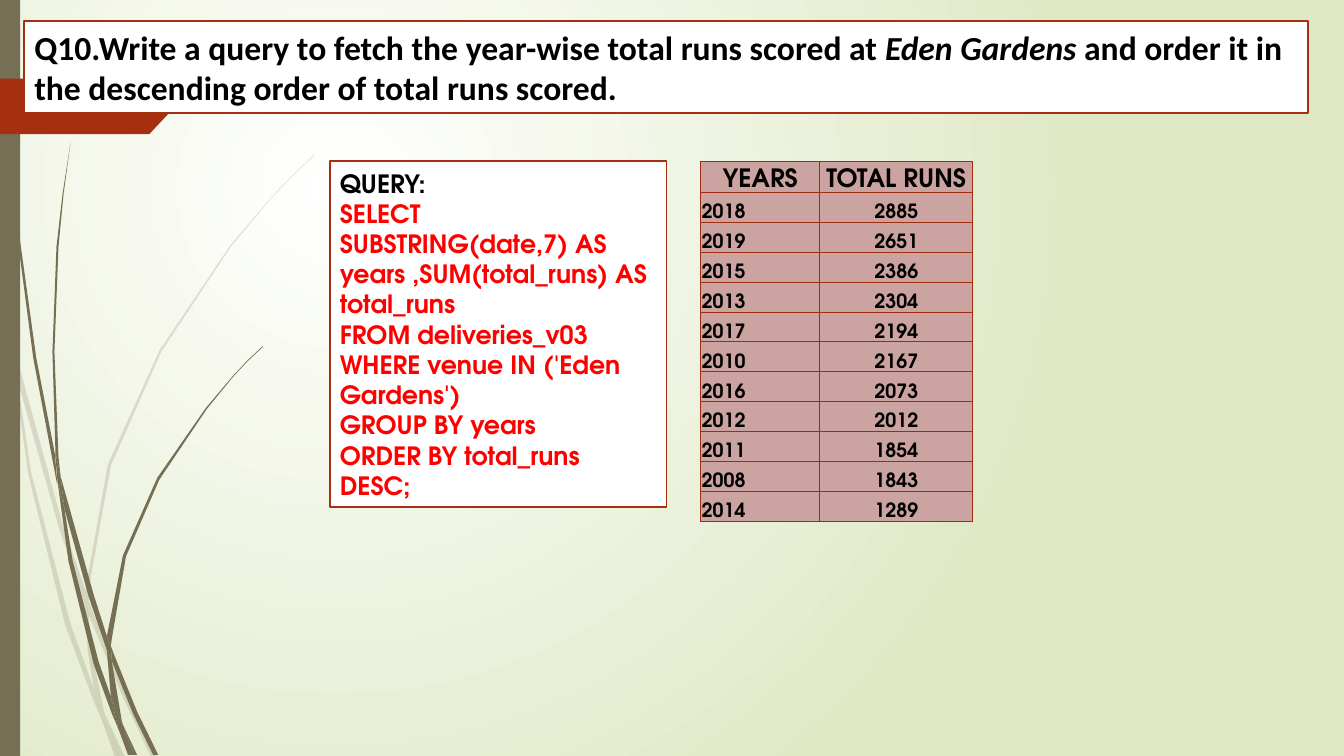
from dataclasses import dataclass

from pptx import Presentation
from pptx.dml.color import RGBColor as Rgb
from pptx.enum.shapes import MSO_SHAPE as Preset
from pptx.enum.text import MSO_ANCHOR as Anchor, MSO_AUTO_SIZE as AutoSize, PP_ALIGN as Align
from pptx.oxml import parse_xml
from pptx.oxml.ns import nsdecls, qn
from pptx.util import Inches, Pt


@dataclass(frozen=True)
class Theme:
    olive: Rgb = Rgb.from_string("766F54")
    rust: Rgb = Rgb.from_string("A53010")
    border: str = "9E2E0F"
    cell: Rgb = Rgb.from_string("CBA3A0")
    white: Rgb = Rgb.from_string("FFFFFF")
    lime: Rgb = Rgb.from_string("DFE8C4")
    black: Rgb = Rgb.from_string("000000")
    red: Rgb = Rgb.from_string("FF0000")
    title_font: str = "Calibri"
    body_font: str = "TeX Gyre Adventor"
    title_size: Pt = Pt(24)
    body_size: Pt = Pt(18)
    cell_size: Pt = Pt(14)


theme = Theme()
GRID = Inches(1)  # every position is in columns and rows of this grid
COLUMNS, ROWS = 13.33, 7.5


def paint(shape, color, line=None):
    shape.fill.solid()
    shape.fill.fore_color.rgb = color
    if line is None:
        shape.line.fill.background()
    else:
        shape.line.color.rgb = line
        shape.line.width = Pt(1.25)


def style(runs, font, size, color):
    for run in runs:
        run.font.name, run.font.size, run.font.bold = font, size, True
        run.font.color.rgb = color


deck = Presentation()
deck.slide_width, deck.slide_height = int(COLUMNS * GRID), int(ROWS * GRID)
page = deck.slides.add_slide(deck.slide_layouts[1])
title, query = page.placeholders

# Background: glow around the upper left quarter
glow = page.background.fill
glow.gradient()
for stop, color in zip(glow.gradient_stops, (theme.white, theme.lime)):
    stop.color.rgb = color
gradient = page.element.find(".//" + qn("a:gradFill"))
gradient.remove(gradient.find(qn("a:lin")))
gradient.append(parse_xml(
    f'<a:path {nsdecls("a")} path="circle">'
    '<a:fillToRect l="50000" t="50000" r="100000" b="100000"/></a:path>'))

# Grass: each blade is made of slivers, given by their corners
pale_grass = [
    [(.11, 3.5), (.09, 3.22), (0, 2.82), (0, 2.99), (.1, 3.44)],
    [(.58, 5.22), (.84, 5.99), (.85, 5.86), (.62, 5.2), (.14, 3.45), (.17, 3.76)],
    [(.92, 6.07), (.88, 5.96), (.88, 6.1), (1.23, 6.94), (1.5, 7.51), (1.55, 7.51),
     (1.27, 6.92)],
    [(1.19, 7.51), (1.24, 7.51), (1.05, 7.11)],
    [(.93, 6.83), (.7, 6.19), (.31, 4.69), (.17, 3.76), (.11, 3.5), (.28, 4.7),
     (.65, 6.21), (.92, 6.93), (1.01, 7.14), (.99, 7.07)],
    [(.84, 5.99), (.87, 6.46), (.93, 6.83), (.96, 6.92), (1.05, 7.11), (1.03, 7.06),
     (.91, 6.46), (.88, 6.1), (.88, 6.08)],
    [(.88, 5.84), (1.1, 4.62), (1.6, 3.49), (2.29, 2.45), (2.68, 1.98), (2.9, 1.75),
     (3.12, 1.54), (3.12, 1.53), (2.89, 1.75), (2.68, 1.97), (2.28, 2.44),
     (1.58, 3.48), (1.07, 4.61), (.85, 5.84), (.85, 5.86), (.88, 5.96)],
    [(1.01, 7.14), (1.14, 7.51), (1.19, 7.51)],
    [(.88, 6.08), (.88, 6.1), (.88, 5.96), (.85, 5.86), (.84, 5.99)],
    [(.96, 6.92), (.93, 6.83), (.99, 7.07), (1.01, 7.14), (1.19, 7.51), (1.05, 7.11)],
]
dark_grass = [
    [(.07, 1.1), (.17, 2.33), (.33, 3.55), (.56, 4.77), (.57, 4.81), (.55, 4.57),
     (.55, 4.53), (.36, 3.55), (.19, 2.32), (.08, 1.09), (.05, .48), (.04, 0),
     (.03, 0), (.04, .48)],
    [(.88, 5.92), (1.06, 6.45), (1.06, 6.31), (.93, 5.9), (.6, 4.72), (.64, 5.05)],
    [(1.13, 6.49), (1.1, 6.41), (1.11, 6.56), (1.32, 7.08), (1.52, 7.49), (1.57, 7.49),
     (1.36, 7.06)],
    [(1.1, 6.91), (.98, 6.57), (.72, 5.56), (.64, 5.05), (.57, 4.77), (.68, 5.57),
     (.93, 6.59), (1.11, 7.08), (1.17, 7.22), (1.16, 7.17)],
    [(.6, 4.72), (.58, 4.53), (.54, 3.49), (.58, 2.45), (.63, 1.93), (.7, 1.41),
     (.62, 1.93), (.56, 2.45), (.52, 3.49), (.55, 4.49)],
    [(1.33, 7.49), (1.36, 7.49), (1.22, 7.19)],
    [(.57, 4.77), (.64, 5.05), (.6, 4.72), (.55, 4.49), (.55, 4.53)],
    [(1.11, 6.33), (1.25, 5.52), (1.58, 4.76), (2.05, 4.06), (2.31, 3.74), (2.45, 3.59),
     (2.61, 3.44), (2.6, 3.44), (2.45, 3.58), (2.31, 3.73), (2.04, 4.05),
     (1.56, 4.74), (1.22, 5.51), (1.06, 6.31), (1.1, 6.41)],
    [(1.17, 7.22), (1.27, 7.49), (1.31, 7.49)],
    [(1.06, 6.45), (1.1, 6.91), (1.16, 7.06), (1.22, 7.19), (1.21, 7.16), (1.11, 6.56),
     (1.09, 6.51)],
    [(1.06, 6.45), (1.09, 6.51), (1.11, 6.56), (1.1, 6.41), (1.06, 6.31)],
    [(1.16, 7.06), (1.1, 6.91), (1.16, 7.17), (1.17, 7.22), (1.3, 7.49), (1.33, 7.49),
     (1.22, 7.19)],
]
for slivers, opacity in ((pale_grass, 20), (dark_grass, 100)):
    for sliver in slivers:
        corners = [(column * GRID, row * GRID) for column, row in sliver]
        builder = page.shapes.build_freeform(*corners[0])
        builder.add_line_segments(corners[1:], close=True)
        blade = builder.convert_to_shape()
        blade.shadow.inherit = False
        paint(blade, theme.olive)
        if opacity < 100:
            blade.element.spPr.find(".//" + qn("a:srgbClr")).append(
                parse_xml(f'<a:alpha {nsdecls("a")} val="{opacity * 1000}"/>'))

# Side bar and arrow flag
for preset, color, top, width, height in (
        (Preset.RECTANGLE, theme.olive, 0, .2, ROWS),
        (Preset.PENTAGON, theme.rust, .78, 1.74, .55)):
    band = page.shapes.add_shape(preset, 0, int(top * GRID), int(width * GRID), int(height * GRID))
    band.shadow.inherit = False
    paint(band, color)
band.adjustments[0] = .47

# Title and query boxes, brought in front of the decoration
for box, left, top, width, height in (
        (title, .24, .21, 12.73, .91), (query, 3.27, 1.6, 3.34, 3.43)):
    box.left, box.top, box.width, box.height = (
        int(length * GRID) for length in (left, top, width, height))
    box.element.getparent().append(box.element)
    paint(box, theme.white, theme.rust)
    box.text_frame.word_wrap = True
    box.text_frame.auto_size = AutoSize.NONE
    box.text_frame.vertical_anchor = Anchor.MIDDLE

heading = title.text_frame.paragraphs[0]
heading.alignment = Align.LEFT
for words in ("Q10.Write a query to fetch the year-wise total runs scored at ",
              "Eden Gardens ",
              "and order it in the descending order of total runs scored."):
    span = heading.add_run()
    span.text = words
    span.font.italic = words.startswith("Eden")
style(heading.runs, theme.title_font, theme.title_size, theme.black)

query.text_frame.text = """QUERY:
SELECT\vSUBSTRING(date,7) AS years ,SUM(total_runs) AS total_runs
FROM deliveries_v03
WHERE venue IN ('Eden Gardens')
GROUP BY years
ORDER BY total_runs DESC;"""
for number, para in enumerate(query.text_frame.paragraphs):
    para.space_before = Pt(0)
    settings = para._p.get_or_add_pPr()
    settings.set("marL", "0")
    settings.set("indent", "0")
    settings.append(parse_xml(f'<a:buNone {nsdecls("a")}/>'))
    para.font.size = theme.body_size
    style(para.runs, theme.body_font, theme.body_size, theme.red if number else theme.black)

# Table of runs by year
records = [("YEARS", "TOTAL RUNS"), (2018, 2885), (2019, 2651), (2015, 2386),
           (2013, 2304), (2017, 2194), (2010, 2167), (2016, 2073), (2012, 2012),
           (2011, 1854), (2008, 1843), (2014, 1289)]
table = page.shapes.add_table(
    len(records), 2, int(6.95 * GRID), int(1.6 * GRID), int(2.7 * GRID), int(3.56 * GRID)).table
table.first_row = table.horz_banding = False
table.rows[0].height = int(.31 * GRID)
for column, width in zip(table.columns, (1.18, 1.52)):
    column.width = int(width * GRID)
for row, record in enumerate(records):
    for column, value in enumerate(record):
        cell = table.cell(row, column)
        cell.text = str(value)
        cell.vertical_anchor = Anchor.BOTTOM
        cell.margin_left = cell.margin_right = cell.margin_top = Inches(.01)
        cell.margin_bottom = 0
        cell.fill.solid()
        cell.fill.fore_color.rgb = theme.cell
        para = cell.text_frame.paragraphs[0]
        para.alignment = Align.LEFT if row and not column else Align.CENTER
        style(para.runs, theme.body_font, theme.cell_size if row else theme.body_size, theme.black)
        for place, side in enumerate(("lnL", "lnR", "lnT", "lnB")):
            cell._tc.tcPr.insert(place, parse_xml(
                f'<a:{side} {nsdecls("a")} w="{Pt(.75)}"><a:solidFill>'
                f'<a:srgbClr val="{theme.border}"/></a:solidFill></a:{side}>'))

deck.save("out.pptx")
